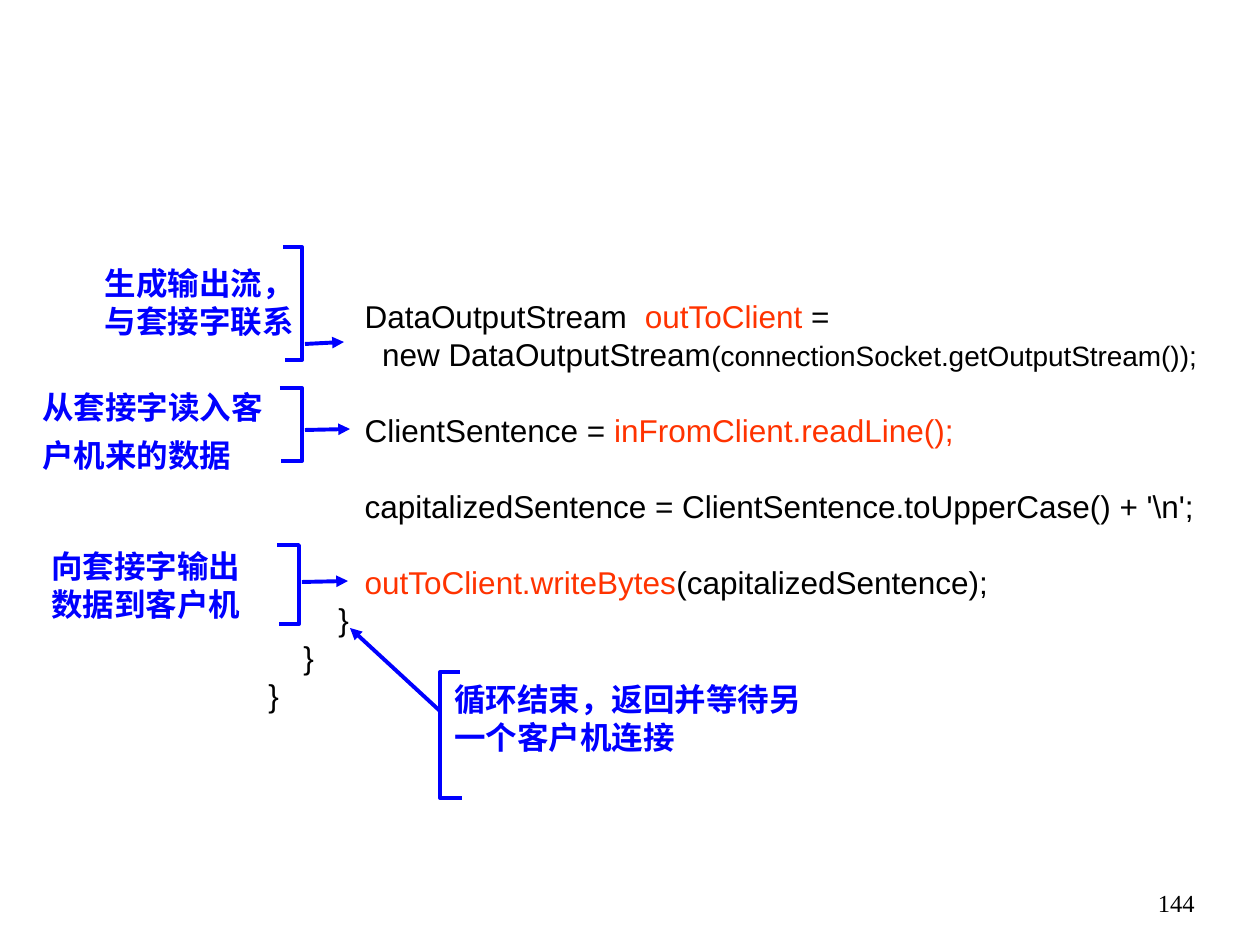
import pptx
import pptx.dml.color
import pptx.enum.dml
import pptx.enum.shapes
import pptx.enum.text
import pptx.oxml.ns
import pptx.util
from lxml import etree

UNIT = 914400 / 126
BLUE, RED, BLACK = "0000FF", "FF3300", "000000"
LEFT = pptx.enum.text.PP_ALIGN.LEFT
RIGHT = pptx.enum.text.PP_ALIGN.RIGHT


def color(code):
    return pptx.dml.color.RGBColor.from_string(code)


def write(box, lines, face, bold=False, align=LEFT, pitch=None):
    left, top, width, height = [round(v * UNIT) for v in box]
    frame = slide.shapes.add_textbox(left, top, width, height).text_frame
    frame.word_wrap = True
    for i, (gap, parts) in enumerate(lines):
        para = frame.paragraphs[0] if i == 0 else frame.add_paragraph()
        para.alignment = align
        para.space_before = pptx.util.Pt(gap)
        if pitch:
            para.line_spacing = pptx.util.Pt(pitch)
        for words, tint, size in parts:
            run = para.add_run()
            run.text = words
            run.font.name = face
            run.font.size = pptx.util.Pt(size)
            run.font.bold = bold
            run.font.color.rgb = color(tint)


deck = pptx.Presentation()
deck.slide_width = round(1260 * UNIT)
deck.slide_height = round(945 * UNIT)
slide = deck.slides.add_slide(deck.slide_layouts[6])

pitch = 21.65
code = [
    (0, [("           DataOutputStream  ", BLACK, 18),
         ("outToClient ", RED, 18), ("=", BLACK, 18)]),
    (0, [("             new DataOutputStream", BLACK, 18),
         ("(connectionSocket.getOutputStream());", BLACK, 16)]),
    (pitch, [("           ClientSentence = ", BLACK, 18),
             ("inFromClient.readLine();", RED, 18)]),
    (pitch, [("           capitalizedSentence = ClientSentence.toUpperCase() + '\\n';",
              BLACK, 18)]),
    (pitch, [("           outToClient.writeBytes", RED, 18),
             ("(capitalizedSentence);", BLACK, 18)]),
    (0, [("        }", BLACK, 18)]),
    (0, [("    }", BLACK, 18)]),
    (0, [("}", BLACK, 18)]),
]
write((256, 291, 964, 429), code, "Arial", pitch=pitch)

labels = [
    ((77, 258, 229, 88), "生成输出流，与套接字联系", RIGHT, None),
    ((30, 371, 258, 108), "从套接字读入客户机来的数据", LEFT, 27.5),
    ((39, 541, 219, 88), "向套接字输出数据到客户机", LEFT, None),
    ((442, 674, 376, 88), "循环结束，返回并等待另一个客户机连接", LEFT, None),
]
for box, words, align, step in labels:
    write(box, [(0, [(words, BLUE, 18)])], "Comic Neue", True, align, step)

brackets = [
    (283, 302, 285, 247, 360),
    (280, 302, 281, 388, 461),
    (277, 299, 279, 545, 624),
    (460, 440, 462, 672, 798),
]
for tip, spine, end, top, low in brackets:
    pen = slide.shapes.build_freeform(tip, top, scale=UNIT)
    pen.add_line_segments([(spine, top), (spine, low), (end, low)], close=False)
    shape = pen.convert_to_shape()
    shape.shadow.inherit = False
    shape.fill.background()
    shape.line.color.rgb = color(BLUE)
    shape.line.width = pptx.util.Pt(2.25)

arrows = [
    (305, 344, 344, 342),
    (305, 430, 350, 429),
    (302, 582, 348, 581),
    (440, 711, 350, 628),
]
for ends in arrows:
    arrow = slide.shapes.add_connector(
        pptx.enum.shapes.MSO_CONNECTOR.STRAIGHT, *[round(v * UNIT) for v in ends])
    arrow.line.color.rgb = color(BLUE)
    arrow.line.width = pptx.util.Pt(2.25)
    props = arrow.line._get_or_add_ln()
    etree.SubElement(props, pptx.oxml.ns.qn("a:tailEnd"), type="triangle")
    etree.SubElement(arrow._element.spPr, pptx.oxml.ns.qn("a:effectLst"))

write((1144, 882, 63, 63), [(0, [("144", BLACK, 14)])], "Times New Roman", align=RIGHT)

deck.save("out.pptx")
